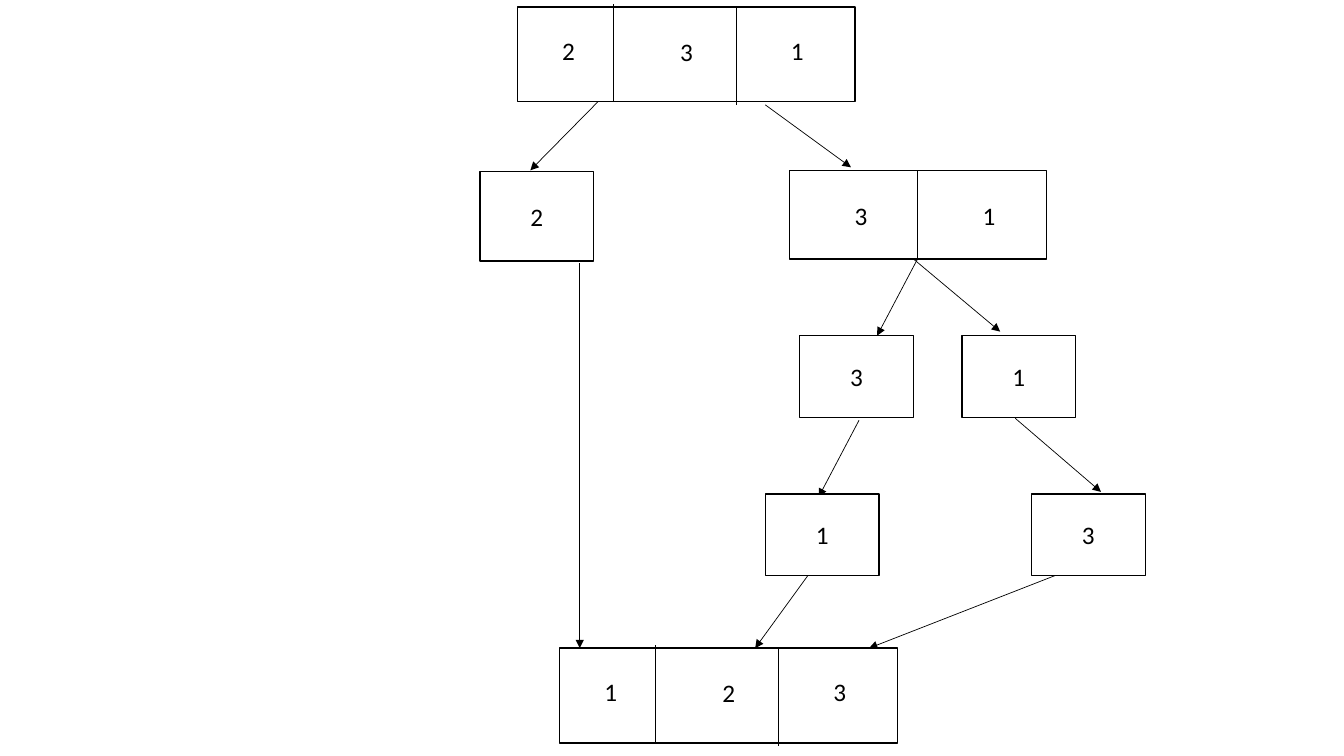
"""Draw a merge sort tree that splits 2, 3, 1 and merges it to 1, 2, 3."""
from lxml import etree
from pptx import Presentation
from pptx.dml.color import RGBColor
from pptx.enum.shapes import MSO_CONNECTOR, MSO_SHAPE
from pptx.enum.text import MSO_ANCHOR, PP_ALIGN
from pptx.oxml.ns import qn
from pptx.util import Inches, Pt

RECT = MSO_SHAPE.RECTANGLE
STRAIGHT = MSO_CONNECTOR.STRAIGHT
CENTER, RIGHT = PP_ALIGN.CENTER, PP_ALIGN.RIGHT
MIDDLE = MSO_ANCHOR.MIDDLE
BLACK = RGBColor(0, 0, 0)
WHITE = RGBColor(255, 255, 255)
FONT = "Calibri"

TRIPLE = {
    "size": (3.35, 0.94),
    "bars": [(0.95, -0.03, 0.94), (2.17, 0, 0.97)],
    "slots": [(-0.29, 0.23, 0.96, 0.4), (0.93, 0.24, 0.91, 0.4), (2.31, 0.23, 0.63, 0.4)],
}
PAIR = {
    "size": (2.55, 0.88),
    "bars": [(1.27, 0, 0.88)],
    "slots": [(0.09, 0.25, 0.78, 0.37), (1.36, 0.25, 0.78, 0.37)],
}
LISTS = [
    (5.13, 0.07, TRIPLE, "231"),
    (7.83, 1.69, PAIR, "31"),
    (5.55, 6.43, TRIPLE, "123"),
]
WIDE = 1.13
CELLS = [
    (4.76, 1.7, 0.89, "2"),
    (7.93, 3.33, 0.81, "3"),
    (9.54, 3.33, 0.81, "1"),
    (7.59, 4.9, 0.81, "1"),
    (10.23, 4.9, 0.81, "3"),
]
ARROWS = [
    (5.93, 1.01, 5.26, 1.69),
    (7.59, 1.04, 8.44, 1.66),
    (9.1, 2.57, 8.7, 3.33),
    (9.06, 2.57, 9.92, 3.29),
    (8.52, 4.17, 8.12, 4.93),
    (10.07, 4.15, 10.92, 4.88),
    (5.75, 2.61, 5.75, 6.43),
    (8.02, 5.7, 7.49, 6.43),
    (10.49, 5.7, 8.62, 6.43),
]

deck = Presentation()
deck.slide_width, deck.slide_height = Inches(13.33), Inches(7.5)
slide = deck.slides.add_slide(deck.slide_layouts[6])
shapes = slide.shapes


def add_line(ends, arrow=False):
    line = shapes.add_connector(STRAIGHT, *map(Inches, ends))
    line.line.color.rgb = BLACK
    line.line.width = Pt(0.5)
    if arrow:
        head = etree.SubElement(line.line._get_or_add_ln(), qn("a:tailEnd"))
        head.set("type", "triangle")
    etree.SubElement(line._element.spPr, qn("a:effectLst"))


def add_box(*area):
    box = shapes.add_shape(RECT, *map(Inches, area))
    box.shadow.inherit = False
    box.fill.solid()
    box.fill.fore_color.rgb = WHITE
    box.line.color.rgb = BLACK
    box.line.width = Pt(1)
    return box


def write(shape, text, align):
    shape.text_frame.word_wrap = True
    para = shape.text_frame.paragraphs[0]
    para.alignment = align
    run = para.add_run()
    run.text = text
    run.font.name = FONT
    run.font.size = Pt(18)
    run.font.color.rgb = BLACK


def add_list(left, top, kind, digits):
    add_box(left, top, *kind["size"])
    for x, start, end in kind["bars"]:
        add_line((left + x, top + start, left + x, top + end))
    for (x, y, width, height), digit in zip(kind["slots"], digits):
        area = (left + x, top + y, width, height)
        write(shapes.add_textbox(*map(Inches, area)), digit, RIGHT)


for ends in ARROWS:
    add_line(ends, arrow=True)
for row in LISTS:
    add_list(*row)
for left, top, height, digit in CELLS:
    cell = add_box(left, top, WIDE, height)
    cell.text_frame.vertical_anchor = MIDDLE
    write(cell, digit, CENTER)

deck.save("out.pptx")
